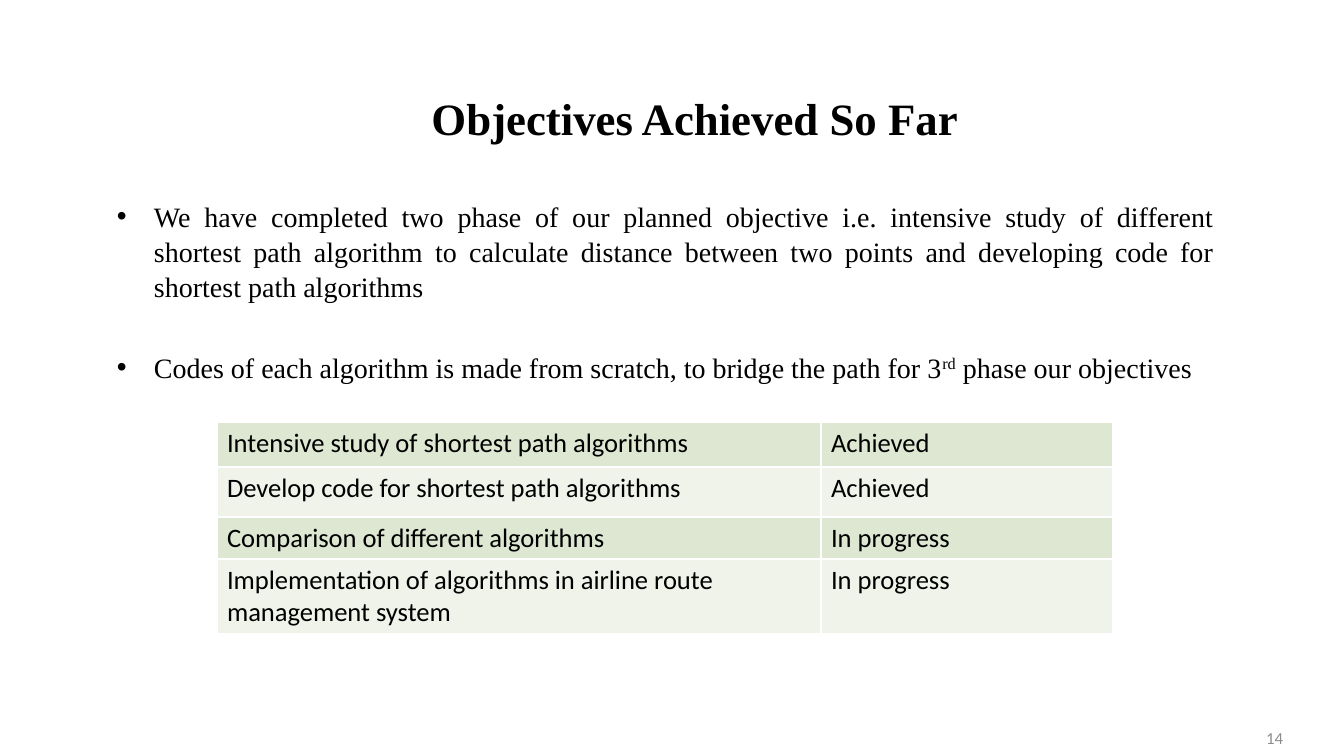
from lxml import etree
from pptx import Presentation, util as u
from pptx.dml.color import RGBColor
from pptx.enum import text
from pptx.oxml.ns import qn

# Content
TITLE = "Objectives Achieved So Far"
BULLETS = [
    ["We have completed two phase of our planned objective i.e. intensive study of "
     "different shortest path algorithm to calculate distance between two points and "
     "developing code for shortest path algorithms"],
    ["Codes of each algorithm is made from scratch, to bridge the path for 3", "rd",
     " phase our objectives"],
]
STATUS = [
    ("Intensive study of shortest path algorithms", "Achieved"),
    ("Develop code for shortest path algorithms", "Achieved"),
    ("Comparison of different algorithms", "In progress"),
    ("Implementation of algorithms in airline route management system", "In progress"),
]
PAGE_NUMBER = "14"

# Layout in px, 100.8 to the inch
TITLE_BOX = (90, 55, 1210, 126)
BODY_BOX = (107, 193, 1117, 562)
NUMBER_BOX = (980, 718, 313, 40)
TABLE_ORIGIN = (217, 422)
COLUMN_WIDTHS = (604, 292)
ROW_HEIGHTS = (45, 50, 42, 75)
BULLET_INDENT = 37
BULLET_GAP = 46

BLACK = RGBColor(0x00, 0x00, 0x00)
GRAY = RGBColor(0x8C, 0x8C, 0x8C)
BANDS = (RGBColor(0xDE, 0xE7, 0xD1), RGBColor(0xEF, 0xF3, 0xEA))
BORDER = RGBColor(0xFF, 0xFF, 0xFF)
SERIF, SANS = "Times New Roman", "Calibri"


def px(length):
    return u.Emu(round(length * 914400 / 100.8))


def style(paragraph, font_name, size, color=BLACK, bold=False):
    for run in paragraph.runs:
        run.font.name, run.font.size, run.font.bold = font_name, u.Pt(size), bold
        run.font.color.rgb = color


def add_box(slide, box, anchor):
    frame = slide.shapes.add_textbox(*map(px, box)).text_frame
    frame.word_wrap = True
    frame.vertical_anchor = anchor
    return frame


def add_bullet(paragraph):
    properties = paragraph._p.get_or_add_pPr()
    properties.set("marL", str(px(BULLET_INDENT)))
    properties.set("indent", str(-px(BULLET_INDENT)))
    etree.SubElement(properties, qn("a:buFont")).set("typeface", "Arial")
    etree.SubElement(properties, qn("a:buChar")).set("char", "•")


def set_borders(cell):
    properties = cell._tc.get_or_add_tcPr()
    for position, side in enumerate(("a:lnL", "a:lnR", "a:lnT", "a:lnB")):
        line = etree.Element(qn(side), w=str(u.Pt(1)))
        fill = etree.SubElement(line, qn("a:solidFill"))
        etree.SubElement(fill, qn("a:srgbClr")).set("val", str(BORDER))
        properties.insert(position, line)


presentation = Presentation()
presentation.slide_width, presentation.slide_height = px(1344), px(756)
slide = presentation.slides.add_slide(presentation.slide_layouts[6])

# Page number and title
for content, box, alignment, font in (
    (PAGE_NUMBER, NUMBER_BOX, text.PP_ALIGN.RIGHT, (SANS, 12, GRAY)),
    (TITLE, TITLE_BOX, text.PP_ALIGN.CENTER, (SERIF, 32, BLACK, True)),
):
    frame = add_box(slide, box, text.MSO_ANCHOR.MIDDLE)
    frame.text = content
    frame.paragraphs[0].alignment = alignment
    style(frame.paragraphs[0], *font)

# Bullets
frame = add_box(slide, BODY_BOX, text.MSO_ANCHOR.TOP)
for index, parts in enumerate(BULLETS):
    paragraph = frame.add_paragraph() if index else frame.paragraphs[0]
    paragraph.alignment = text.PP_ALIGN.JUSTIFY
    paragraph.line_spacing = 1.04
    paragraph.space_before = px(BULLET_GAP) if index else u.Pt(0)
    for part in parts:
        paragraph.add_run().text = part
    style(paragraph, SERIF, 20)
    add_bullet(paragraph)
    for ordinal in paragraph.runs[1:2]:
        ordinal.font._element.set("baseline", "30000")

# Status table
table = slide.shapes.add_table(
    len(STATUS), len(COLUMN_WIDTHS), *map(px, TABLE_ORIGIN),
    px(sum(COLUMN_WIDTHS)), px(sum(ROW_HEIGHTS))).table
table.first_row = False
for column, width in zip(table.columns, COLUMN_WIDTHS):
    column.width = px(width)
for row_index, (row, height) in enumerate(zip(table.rows, ROW_HEIGHTS)):
    row.height = px(height)
    for cell, content in zip(row.cells, STATUS[row_index]):
        cell.text = content
        style(cell.text_frame.paragraphs[0], SANS, 19)
        cell.fill.solid()
        cell.fill.fore_color.rgb = BANDS[row_index % 2]
        set_borders(cell)

presentation.save("out.pptx")
